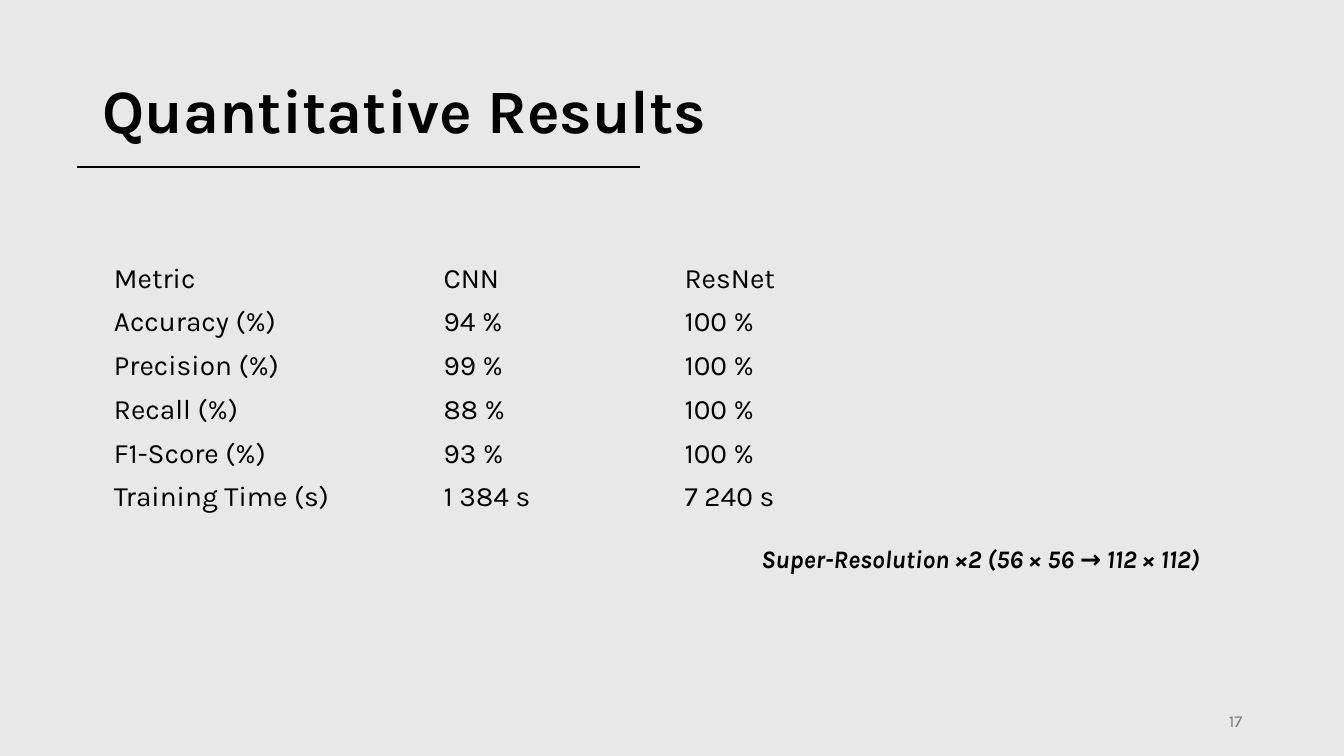
from pptx import Presentation
from pptx.dml.color import RGBColor
from pptx.enum.shapes import MSO_CONNECTOR
from pptx.enum.text import MSO_ANCHOR, PP_ALIGN
from pptx.oxml.ns import qn
from pptx.util import Inches, Pt
from lxml import etree

STRAIGHT = MSO_CONNECTOR.STRAIGHT
TOP, MIDDLE = MSO_ANCHOR.TOP, MSO_ANCHOR.MIDDLE
LEFT, RIGHT = PP_ALIGN.LEFT, PP_ALIGN.RIGHT
PLAIN_TABLE_STYLE = "{2D5ABB26-0587-4C30-8999-92F81FD0307C}"
BLACK, GREY, BACKGROUND = "000000", "797979", "E8E8E8"

TITLE_BOX = (0.92, 0.4, 11.5, 1.45)
RULE_BOX = (0.76, 1.66, 5.59, 0)
RESULTS_BOX = (1.03, 2.55, 8.49, 2.56)
NOTE_BOX = (7.45, 5.34, 5.94, 0.4)
NUMBER_BOX = (9.42, 6.95, 3, 0.4)

COLUMN_WIDTHS = (3.27, 2.39, 2.83)
RESULTS = (
    ("Metric", "CNN", "ResNet"),
    ("Accuracy (%)", "94 %", "100 %"),
    ("Precision (%)", "99 %", "100 %"),
    ("Recall (%)", "88 %", "100 %"),
    ("F1-Score (%)", "93 %", "100 %"),
    ("Training Time (s)", "1 384 s", "7 240 s"),
)


def rgb(value):
    """Turn a hex string into a colour."""
    return RGBColor.from_string(value)


def write(paragraph, text, color=BLACK, **formats):
    """Put text into a paragraph with the given font formats."""
    run = paragraph.add_run()
    run.text = text
    for key, value in {"name": "Karla", **formats}.items():
        setattr(run.font, key, value)
    run.font.color.rgb = rgb(color)


def add_text(slide, box, text, anchor=TOP, align=LEFT, spacing=1.0, **formats):
    """Place one line of text in a box."""
    frame = slide.shapes.add_textbox(*map(Inches, box)).text_frame
    frame.word_wrap = True
    frame.vertical_anchor = anchor
    paragraph = frame.paragraphs[0]
    paragraph.alignment = align
    paragraph.line_spacing = spacing
    write(paragraph, text, **formats)


def add_rule(slide, box):
    """Draw the line below the title."""
    left, top, width, height = box
    ends = map(Inches, (left, top, left + width, top + height))
    rule = slide.shapes.add_connector(STRAIGHT, *ends)
    rule.line.color.rgb = rgb(BLACK)
    rule.line.width = Pt(1.5)
    etree.SubElement(rule._element.spPr, qn("a:effectLst"))


def add_results(slide, box):
    """Build the plain table of metrics per model."""
    table = slide.shapes.add_table(
        len(RESULTS), len(COLUMN_WIDTHS), *map(Inches, box)
    ).table
    table.first_row = table.horz_banding = False
    table._tbl.tblPr.find(qn("a:tableStyleId")).text = PLAIN_TABLE_STYLE
    for column, width in zip(table.columns, COLUMN_WIDTHS):
        column.width = Inches(width)
    for row, values in zip(table.rows, RESULTS):
        for cell, value in zip(row.cells, values):
            cell.fill.background()
            cell.vertical_anchor = MIDDLE
            write(cell.text_frame.paragraphs[0], value, size=Pt(20))


def build_results_slide(presentation):
    """Add the slide with the quantitative results."""
    slide = presentation.slides.add_slide(presentation.slide_layouts[6])
    slide.background.fill.solid()
    slide.background.fill.fore_color.rgb = rgb(BACKGROUND)
    add_text(slide, TITLE_BOX, "Quantitative Results", anchor=MIDDLE,
             spacing=0.9, size=Pt(44), bold=True)
    add_text(slide, NUMBER_BOX, "17", anchor=MIDDLE, align=RIGHT,
             color=GREY, size=Pt(12))
    add_rule(slide, RULE_BOX)
    add_results(slide, RESULTS_BOX)
    add_text(slide, NOTE_BOX, "Super-Resolution ×2 (56 × 56 → 112 × 112)",
             size=Pt(18), bold=True, italic=True)


def main():
    """Create and save the presentation."""
    presentation = Presentation()
    presentation.slide_width = Inches(13.33)
    presentation.slide_height = Inches(7.5)
    build_results_slide(presentation)
    presentation.save("out.pptx")


if __name__ == "__main__":
    main()
